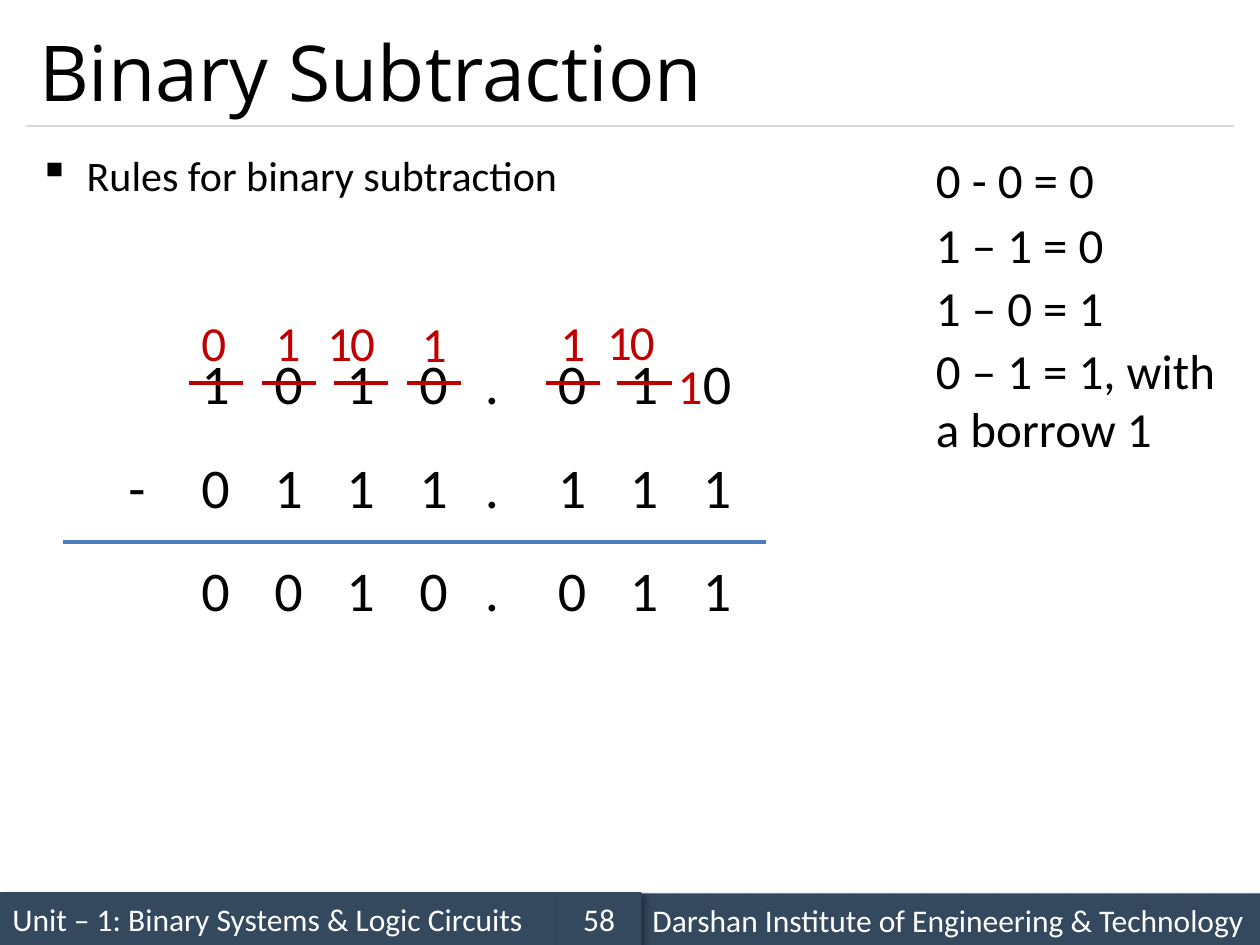
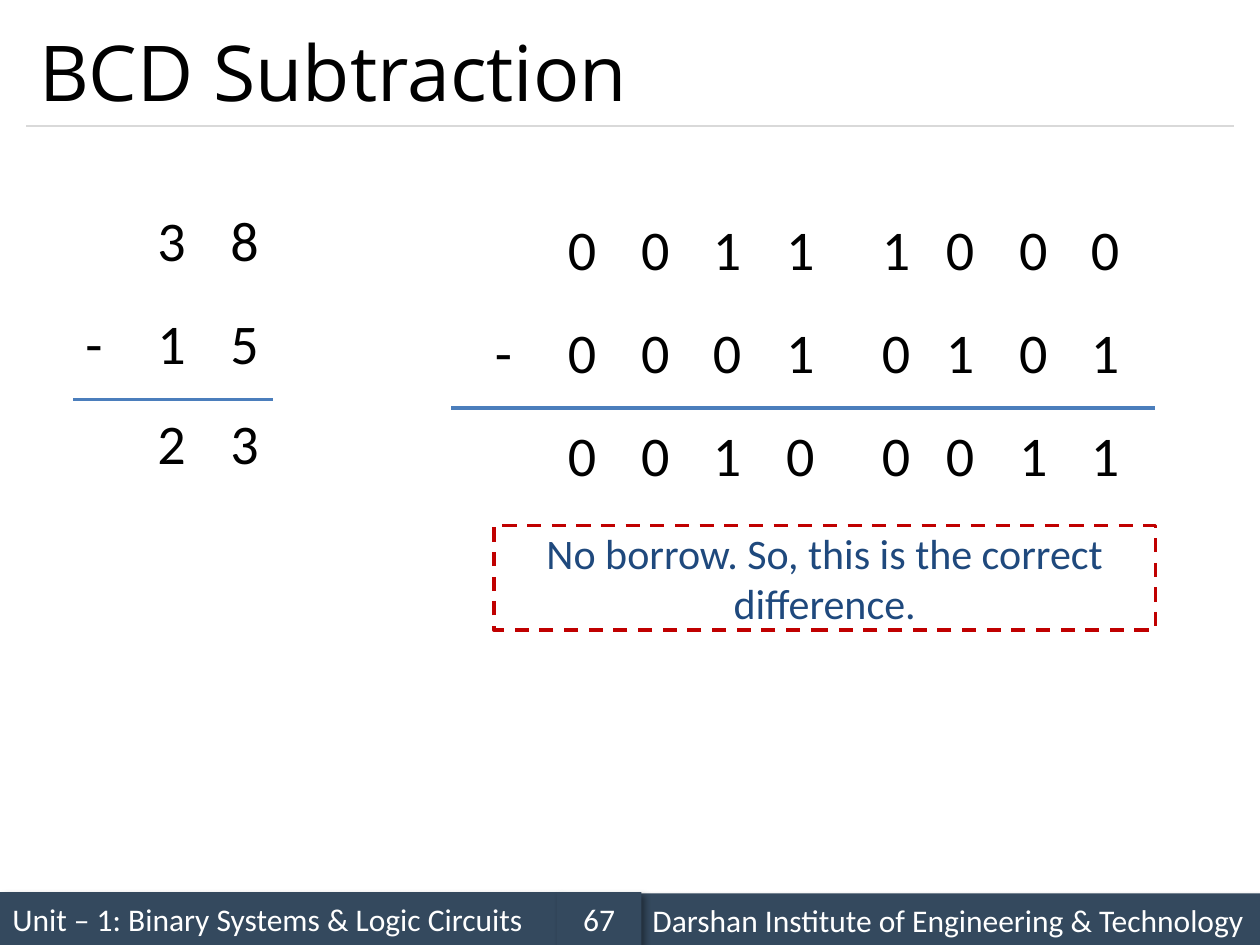
from lxml import etree
from pptx import Presentation
from pptx.dml.color import RGBColor
from pptx.enum.dml import MSO_LINE
from pptx.enum.shapes import MSO_CONNECTOR, MSO_SHAPE
from pptx.enum.text import MSO_ANCHOR, MSO_AUTO_SIZE, PP_ALIGN
from pptx.oxml.ns import qn
from pptx.util import Inches, Pt

DASH = MSO_LINE.DASH
STRAIGHT = MSO_CONNECTOR.STRAIGHT
RECTANGLE = MSO_SHAPE.RECTANGLE
MIDDLE = MSO_ANCHOR.MIDDLE
GROW = MSO_AUTO_SIZE.SHAPE_TO_FIT_TEXT
LEFT, CENTER = PP_ALIGN.LEFT, PP_ALIGN.CENTER

BLACK, WHITE, RED = "000000", "FFFFFF", "C00000"
NAVY, BLUE, TEXT_BLUE, GREY = "34495E", "4B7EBC", "1F497D", "D9D9D9"
TITLE_FONT, BODY_FONT = "Open Sans", "Calibri"

UNIT = "Unit – 1: Binary Systems & Logic Circuits"
INSTITUTE = "Darshan Institute of Engineering & Technology"

BULLET = "Rules for binary subtraction"
RULES = [
    (1.14, "0 - 0 = 0"),
    (1.65, "1 – 1 = 0"),
    (2.15, "1 – 0 = 1"),
    (2.65, "0 – 1 = 1, with a borrow 1"),
]
BORROWS = [
    (1.5, 2.43, "0"), (2.09, 2.43, "1"), (2.5, 2.43, "1"), (2.68, 2.43, "0"),
    (3.25, 2.44, "1"), (4.35, 2.43, "1"), (4.72, 2.42, "1"), (4.9, 2.42, "0"),
    (5.28, 2.77, "1"),
]
STRUCK_COLUMNS = [1, 2, 3, 4, 6, 7]
STRIKE_Y = 3.04
NOTE = "No borrow. So, this is the correct difference."

FRACTION_SUM = {
    "columns": [0.92, 1.5, 2.08, 2.65, 3.23, 3.75, 4.33, 4.9, 5.48],
    "rows": [(2.72, " 1010.010"), (3.54, "-0111.111"), (4.36, " 0010.011")],
    "rule": (0.5, 6.08, 4.3),
}
DECIMAL_SUM = {
    "columns": [0.58, 1.15, 1.73],
    "rows": [(1.58, " 38"), (2.4, "-15"), (3.19, " 23")],
    "rule": (0.58, 2.17, 3.17),
}
BCD_SUM = {
    "columns": [3.83, 4.41, 4.99, 5.56, 6.14, 6.9, 7.41, 7.99, 8.56],
    "rows": [(1.65, " 00111000"), (2.47, "-00010101"), (3.29, " 00100011")],
    "rule": (3.58, 9.17, 3.24),
}
DIGIT_WIDTH = 0.43
SYMBOL_WIDTHS = {"-": 0.34, ".": 0.32}


def rgb(value):
    return RGBColor.from_string(value)


def format_text(p, size, color, font=BODY_FONT, align=LEFT):
    p.alignment = align
    p.font.size = Pt(size)
    p.font.name = font
    p.font.color.rgb = rgb(color)


def add_text(s, x, y, w, h, text, size, color=BLACK, wrap=False):
    tf = s.shapes.add_textbox(Inches(x), Inches(y), Inches(w), Inches(h)).text_frame
    tf.word_wrap = wrap
    tf.auto_size = GROW
    p = tf.paragraphs[0]
    p.text = text
    format_text(p, size, color)
    return p


def add_line(s, x1, x2, y, color, width=2):
    line = s.shapes.add_connector(STRAIGHT, Inches(x1), Inches(y), Inches(x2), Inches(y))
    line.line.color.rgb = rgb(color)
    line.line.width = Pt(width)
    etree.SubElement(line._element.spPr, qn("a:effectLst"))


def add_box(s, x, y, w, h, text, size, color, align):
    sp = s.shapes.add_shape(RECTANGLE, Inches(x), Inches(y), Inches(w), Inches(h))
    sp.shadow.inherit = False
    tf = sp.text_frame
    tf.word_wrap = True
    tf.vertical_anchor = MIDDLE
    p = tf.paragraphs[0]
    p.text = text
    format_text(p, size, color, align=align)
    return sp


def add_band(s, x, y, w, text, align=LEFT):
    sp = add_box(s, x, y, w, 0.42, text, 18, WHITE, align)
    sp.fill.solid()
    sp.fill.fore_color.rgb = rgb(NAVY)
    sp.line.fill.background()
    effects = sp._element.spPr.find(qn("a:effectLst"))
    shadow = etree.SubElement(
        effects, qn("a:outerShdw"), blurRad=str(Pt(4)), dist=str(Pt(3)),
        dir="2700000", algn="tl", rotWithShape="0")
    tint = etree.SubElement(shadow, qn("a:srgbClr"), val=BLACK)
    etree.SubElement(tint, qn("a:alpha"), val="40000")


def add_slide(prs, title, number):
    s = prs.slides.add_slide(prs.slide_layouts[5])
    add_band(s, 0, 7.08, 4.42, UNIT)
    add_line(s, 0.21, 9.79, 1, GREY, 0.75)
    add_band(s, 5.08, 7.09, 4.92, INSTITUTE)
    add_band(s, 4.42, 7.08, 0.67, str(number), CENTER)
    sp = s.shapes.title
    sp.left, sp.top, sp.width, sp.height = map(Inches, (0.21, 0.12, 9.58, 0.88))
    tf = sp.text_frame
    tf.text = title
    tf.vertical_anchor = MIDDLE
    format_text(tf.paragraphs[0], 44, BLACK, TITLE_FONT)
    return s


def add_bullet(s, text):
    p = add_text(s, 0.21, 1.08, 9.58, 0.92, text, 24, wrap=True)
    p.line_spacing = 1.14
    pPr = p._p.get_or_add_pPr()
    pPr.set("marL", str(Inches(0.38)))
    pPr.set("indent", str(-Inches(0.38)))
    bullet = etree.Element(qn("a:buChar"), char="▪")
    pPr.find(qn("a:defRPr")).addprevious(bullet)


def add_sum(s, data):
    for y, digits in data["rows"]:
        for x, digit in zip(data["columns"], digits):
            if digit != " ":
                width = SYMBOL_WIDTHS.get(digit, DIGIT_WIDTH)
                add_text(s, x, y, width, 0.64, digit, 32)
    add_line(s, *data["rule"], BLUE)


def build_binary_subtraction(prs):
    s = add_slide(prs, "Binary Subtraction", 58)
    add_bullet(s, BULLET)
    for y, rule in RULES:
        add_text(s, 7.33, y, 2.58, 0.57, rule, 28, wrap=True)
    add_sum(s, FRACTION_SUM)
    for column in STRUCK_COLUMNS:
        x = FRACTION_SUM["columns"][column]
        add_line(s, x, x + DIGIT_WIDTH, STRIKE_Y, RED)
    for x, y, digit in BORROWS:
        add_text(s, x, y, 0.4, 0.57, digit, 28, RED)


def build_bcd_subtraction(prs):
    s = add_slide(prs, "BCD Subtraction", 67)
    add_sum(s, BCD_SUM)
    add_sum(s, DECIMAL_SUM)
    note = add_box(s, 3.92, 4.17, 5.25, 0.83, NOTE, 24, TEXT_BLUE, CENTER)
    note.fill.background()
    note.line.color.rgb = rgb(RED)
    note.line.width = Pt(2)
    note.line.dash_style = DASH


def main():
    prs = Presentation()
    prs.slide_width, prs.slide_height = Inches(10), Inches(7.5)
    build_binary_subtraction(prs)
    build_bcd_subtraction(prs)
    prs.save("out.pptx")


if __name__ == "__main__":
    main()
